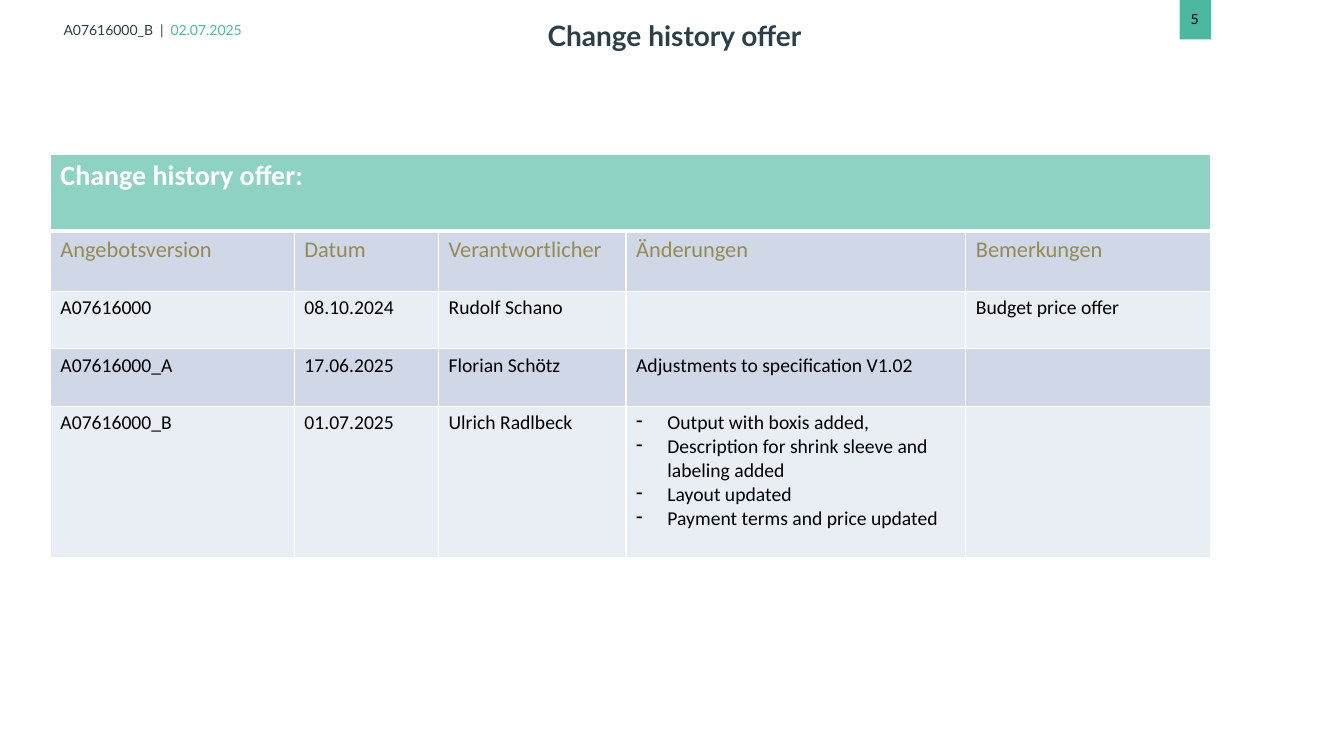
import pptx
import pptx.util
import pptx.dml.color
import pptx.enum.shapes
import pptx.enum.text
import pptx.oxml
import pptx.oxml.ns

Inches, Pt = pptx.util.Inches, pptx.util.Pt
RGBColor = pptx.dml.color.RGBColor
ANCHOR = pptx.enum.text.MSO_ANCHOR

# Content
TITLE = "Change history offer"
OFFER, OFFER_DATE, PAGE = "A07616000_B", "02.07.2025", "5"
TABLE_HEADING = "Change history offer:"
COLUMNS = ["Angebotsversion", "Datum", "Verantwortlicher", "Änderungen", "Bemerkungen"]
VERSIONS = [
    ["A07616000", "08.10.2024", "Rudolf Schano", "", "Budget price offer"],
    ["A07616000_A", "17.06.2025", "Florian Schötz", "Adjustments to specification V1.02", ""],
    ["A07616000_B", "01.07.2025", "Ulrich Radlbeck",
     ["Output with boxis added,",
      "Description for shrink sleeve and labeling added",
      "Layout updated",
      "Payment terms and price updated"], ""],
]
COLUMN_WIDTHS = [2.42, 1.43, 1.86, 3.37, 2.43]
ROW_HEIGHTS = [0.76, 0.6, 0.57, 0.57, 1.5]

# Colours
DARK = RGBColor(0x2C, 0x3F, 0x48)
GREEN = RGBColor(0x4D, 0xB8, 0xA0)
LIGHT_GREEN = RGBColor(0x8E, 0xD2, 0xC3)
OLIVE = RGBColor(0x94, 0x8A, 0x54)
BLACK = RGBColor(0, 0, 0)
WHITE = RGBColor(0xFF, 0xFF, 0xFF)
BANDS = [RGBColor(0xE9, 0xED, 0xF4), RGBColor(0xD0, 0xD8, 0xE8)]


def add_run(paragraph, text, size, color, font="Lato", bold=False):
    run = paragraph.add_run()
    run.text = text
    run.font.name, run.font.size, run.font.bold = font, Pt(size), bold
    run.font.color.rgb = color


def add_label(slide, left, top, width, height, runs, inset=None):
    frame = slide.shapes.add_textbox(*map(Inches, (left, top, width, height))).text_frame
    frame.word_wrap = True
    if inset is not None:
        frame.margin_left = frame.margin_right = Inches(inset)
        frame.margin_top = frame.margin_bottom = Inches(inset)
        frame.vertical_anchor = ANCHOR.MIDDLE
    for text, color in runs:
        add_run(frame.paragraphs[0], text, 10, color)


def set_borders(cell, top, bottom):
    properties = cell._tc.get_or_add_tcPr()
    for side, points in (("L", 1), ("R", 1), ("T", top), ("B", bottom)):
        properties.append(pptx.oxml.parse_xml(
            f'<a:ln{side} {pptx.oxml.ns.nsdecls("a")} w="{Pt(points)}"><a:solidFill>'
            f'<a:srgbClr val="{WHITE}"/></a:solidFill></a:ln{side}>'))


def add_dash(paragraph):
    properties = paragraph._p.get_or_add_pPr()
    properties.set("marL", str(Inches(0.31)))
    properties.set("indent", str(-Inches(0.31)))
    properties.append(pptx.oxml.parse_xml(
        f'<a:buChar {pptx.oxml.ns.nsdecls("a")} char="-"/>'))


def fill_cell(cell, content, size, color, bold):
    is_list = isinstance(content, list)
    frame = cell.text_frame
    for number, line in enumerate(content if is_list else [content]):
        paragraph = frame.add_paragraph() if number else frame.paragraphs[0]
        if is_list:
            add_dash(paragraph)
        if line:
            add_run(paragraph, line, size, color, "Calibri", bold)


def add_history(slide):
    rows = [[TABLE_HEADING] + [""] * (len(COLUMNS) - 1), COLUMNS] + VERSIONS
    styles = [(20, WHITE, True), (16, OLIVE, False)] + [(14, BLACK, False)] * len(VERSIONS)
    history = slide.shapes.add_table(
        len(rows), len(COLUMNS), Inches(0.5), Inches(1.53),
        Inches(sum(COLUMN_WIDTHS)), Inches(sum(ROW_HEIGHTS))).table
    for column, width in zip(history.columns, COLUMN_WIDTHS):
        column.width = Inches(width)
    for row, height in zip(history.rows, ROW_HEIGHTS):
        row.height = Inches(height)
    history.cell(0, 0).merge(history.cell(0, len(COLUMNS) - 1))
    for r, (contents, style) in enumerate(zip(rows, styles)):
        for c, content in enumerate(contents):
            cell = history.cell(r, c)
            set_borders(cell, top=3 if r == 1 else 1, bottom=3 if r == 0 else 1)
            cell.fill.solid()
            cell.fill.fore_color.rgb = BANDS[r % 2] if r else LIGHT_GREEN
            fill_cell(cell, content, *style)


def main():
    deck = pptx.Presentation()
    deck.slide_width, deck.slide_height = Inches(13.33), Inches(7.5)
    slide = deck.slides.add_slide(deck.slide_layouts[5])

    # Header line and page number
    add_label(slide, 0.6, 0.18, 3.51, 0.23,
              [(OFFER + "\u2002|\u2002", DARK), (OFFER_DATE, GREEN)], inset=0.03)
    page_tab = slide.shapes.add_shape(
        pptx.enum.shapes.MSO_SHAPE.RECTANGLE, Inches(11.7), 0, Inches(0.31), Inches(0.39))
    page_tab.shadow.inherit = False
    page_tab.fill.solid()
    page_tab.fill.fore_color.rgb = GREEN
    page_tab.line.fill.background()
    add_label(slide, 11.71, 0.06, 0.8, 0.27, [(PAGE, BLACK)])

    # Title
    title = slide.shapes.title
    title.left, title.top = Inches(2.91), Inches(0.13)
    title.width, title.height = Inches(7.56), Inches(0.31)
    title.text_frame.vertical_anchor = ANCHOR.TOP
    heading = title.text_frame.paragraphs[0]
    heading.alignment = pptx.enum.text.PP_ALIGN.CENTER
    add_run(heading, TITLE, 20, DARK, bold=True)

    # Change history
    add_history(slide)
    deck.save("out.pptx")


if __name__ == "__main__":
    main()
